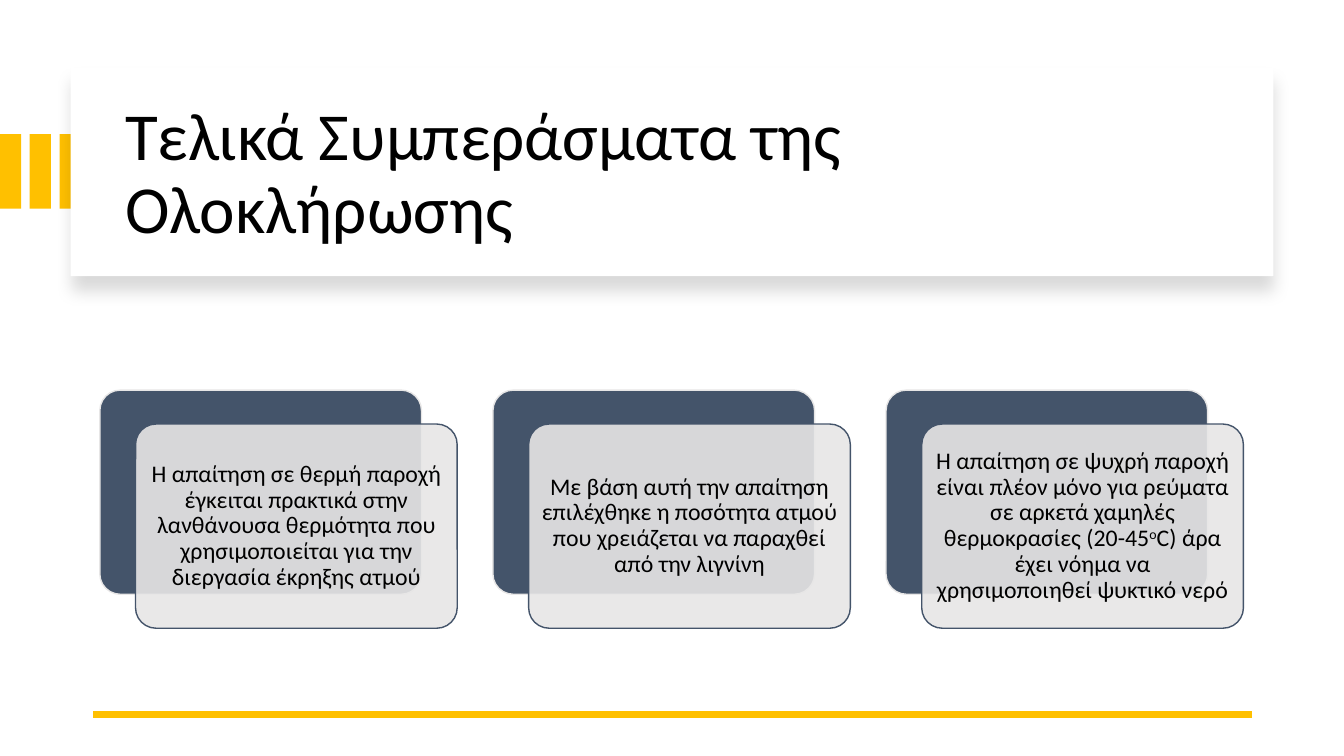
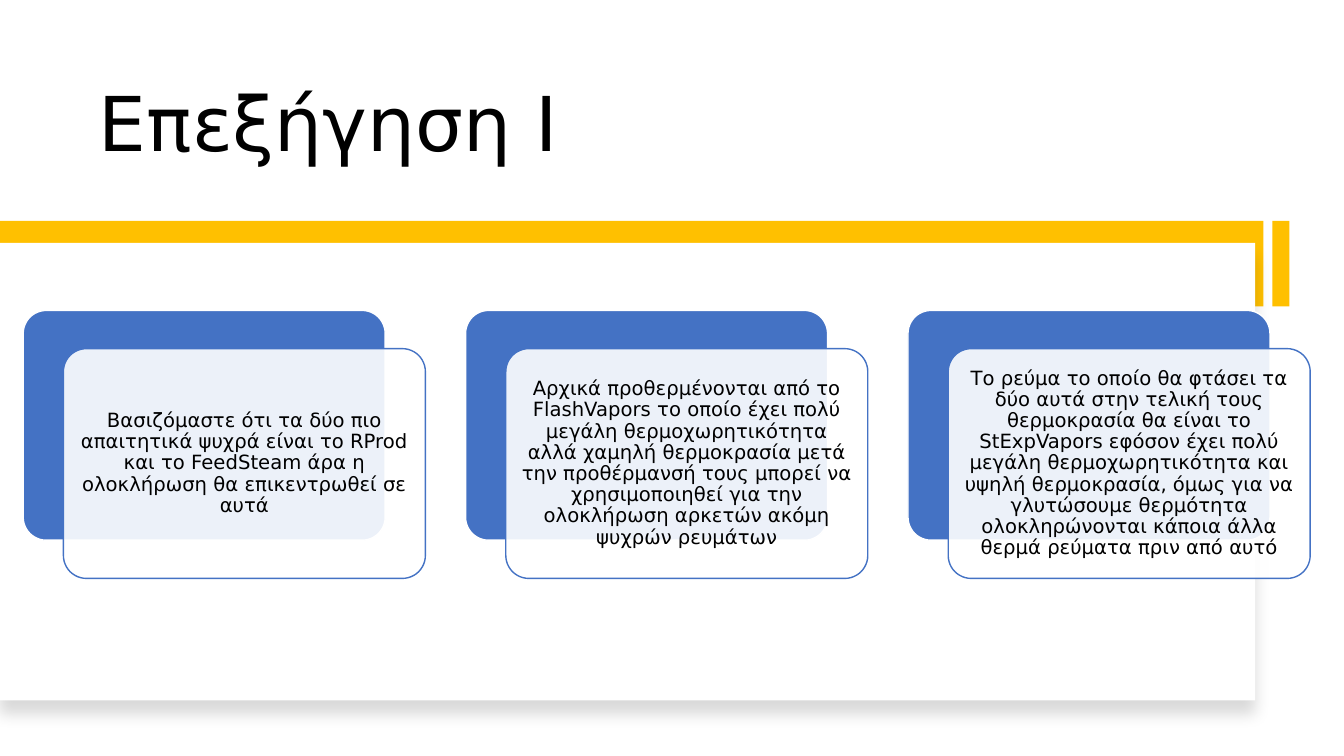
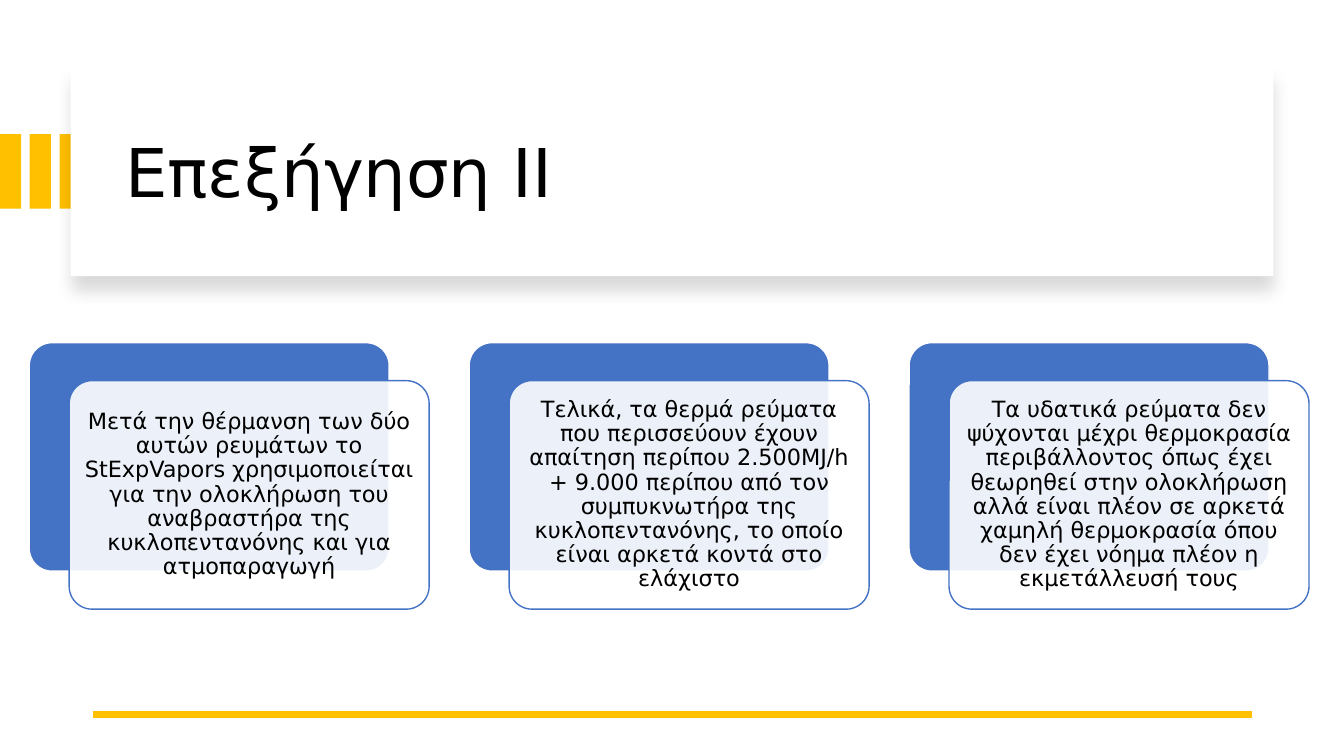
"""Build three Greek slides on heat integration, each with a title and three layered cards."""
from lxml import etree
from pptx import Presentation
from pptx.dml.color import RGBColor
from pptx.enum.shapes import MSO_CONNECTOR, MSO_SHAPE
from pptx.enum.text import MSO_ANCHOR, MSO_AUTO_SIZE, PP_ALIGN
from pptx.oxml.ns import qn
from pptx.util import Inches, Pt

RECT, ROUND = MSO_SHAPE.RECTANGLE, MSO_SHAPE.ROUNDED_RECTANGLE
STRAIGHT = MSO_CONNECTOR.STRAIGHT
MIDDLE, BOTTOM = MSO_ANCHOR.MIDDLE, MSO_ANCHOR.BOTTOM
LEFT, CENTER = PP_ALIGN.LEFT, PP_ALIGN.CENTER
NO_FIT = MSO_AUTO_SIZE.NONE

COLORS = {"gold": "FFC000", "white": "FFFFFF", "black": "000000",
          "slate": "44546A", "grey": "E7E6E6", "blue": "4472C4"}

SLIDES = [
    {"title": "Τελικά Συμπεράσματα της Ολοκλήρωσης", "frame": "stripes",
     "font": "Calibri", "size": 17, "inset": 0.07, "dark": "slate", "light": "grey",
     "left": 0.99, "top": 3.87, "width": 3.19,
     "cards": [
         ["Η απαίτηση σε θερμή παροχή έγκειται πρακτικά στην λανθάνουσα θερμότητα "
          "που χρησιμοποιείται για την διεργασία έκρηξης ατμού"],
         ["Με βάση αυτή την απαίτηση επιλέχθηκε η ποσότητα ατμού που χρειάζεται "
          "να παραχθεί από την λιγνίνη"],
         ["Η απαίτηση σε ψυχρή παροχή είναι πλέον μόνο για ρεύματα σε αρκετά "
          "χαμηλές θερμοκρασίες (20-45", "o",
          "C) άρα έχει νόημα να χρησιμοποιηθεί ψυκτικό νερό"]]},
    {"title": "Επεξήγηση Ι", "frame": "band",
     "font": "DejaVu Sans", "size": 14, "inset": 0.06, "dark": "blue", "light": "white",
     "left": 0.23, "top": 3.08, "width": 3.59,
     "cards": [
         ["Βασιζόμαστε ότι τα δύο πιο απαιτητικά ψυχρά είναι το RProd και το "
          "FeedSteam άρα η ολοκλήρωση θα επικεντρωθεί σε αυτά"],
         ["Αρχικά προθερμένονται από το FlashVapors το οποίο έχει πολύ μεγάλη "
          "θερμοχωρητικότητα αλλά χαμηλή θερμοκρασία μετά την προθέρμανσή τους "
          "μπορεί να χρησιμοποιηθεί για την ολοκλήρωση αρκετών ακόμη ψυχρών ρευμάτων"],
         ["Το ρεύμα το οποίο θα φτάσει τα δύο αυτά στην τελική τους θερμοκρασία θα "
          "είναι το StExpVapors εφόσον έχει πολύ μεγάλη θερμοχωρητικότητα και υψηλή "
          "θερμοκρασία, όμως για να γλυτώσουμε θερμότητα ολοκληρώνονται κάποια άλλα "
          "θερμά ρεύματα πριν από αυτό"]]},
    {"title": "Επεξήγηση ΙΙ", "frame": "stripes",
     "font": "DejaVu Sans", "size": 16, "inset": 0.07, "dark": "blue", "light": "white",
     "left": 0.29, "top": 3.4, "width": 3.57,
     "cards": [
         ["Μετά την θέρμανση των δύο αυτών ρευμάτων το StExpVapors χρησιμοποιείται "
          "για την ολοκλήρωση του αναβραστήρα της κυκλοπεντανόνης και για "
          "ατμοπαραγωγή"],
         ["Τελικά, τα θερμά ρεύματα που περισσεύουν έχουν απαίτηση περίπου 2.500MJ/h "
          "+ 9.000 περίπου από τον συμπυκνωτήρα της κυκλοπεντανόνης, το οποίο είναι "
          "αρκετά κοντά στο ελάχιστο"],
         ["Τα υδατικά ρεύματα δεν ψύχονται μέχρι θερμοκρασία περιβάλλοντος όπως έχει "
          "θεωρηθεί στην ολοκλήρωση αλλά είναι πλέον σε αρκετά χαμηλή θερμοκρασία "
          "όπου δεν έχει νόημα πλέον η εκμετάλλευσή τους"]]},
]

FRAMES = {
    "stripes": {"bars": [(0.295 * i, 1.33, 0.21, 0.74) for i in range(3)],
                "panel": (0.7, 0.67, 11.93, 2.07), "rule": True,
                "title": (1.14, 0.89, 11.13, 1.7), "anchor": MIDDLE, "size": 48},
    "band": {"bars": [(12.62, 2.19, 0.17, 0.85), (0, 2.19, 12.53, 0.85)],
             "panel": (0, 2.41, 12.45, 4.54), "rule": False,
             "title": (0.88, 0.42, 10.1, 1.3), "anchor": BOTTOM, "size": 54},
}


def color(name):
    return RGBColor.from_string(COLORS[name])


def add_box(shapes, kind, box, fill, line=None):
    shape = shapes.add_shape(kind, *map(Inches, box))
    shape.fill.solid()
    shape.fill.fore_color.rgb = color(fill)
    if line:
        shape.line.color.rgb = color(line)
        shape.line.width = Pt(1)
    else:
        shape.line.fill.background()
    shape.shadow.inherit = False
    return shape


def add_alpha(parent, percent):
    etree.SubElement(parent, qn("a:alpha"), val=str(percent * 1000))


def add_shadow(shape):
    effects = shape.element.spPr.find(qn("a:effectLst"))
    shadow = etree.SubElement(effects, qn("a:outerShdw"), blurRad=str(Pt(11)),
                              dist=str(Pt(10)), dir="5400000", algn="t", rotWithShape="0")
    add_alpha(etree.SubElement(shadow, qn("a:srgbClr"), val=COLORS["black"]), 15)


def write(tf, texts, font, size, align, anchor):
    tf.word_wrap = True
    tf.auto_size = NO_FIT
    tf.vertical_anchor = anchor
    p = tf.paragraphs[0]
    p.alignment = align
    p.line_spacing = 0.9
    for i, text in enumerate(texts):
        r = p.add_run()
        r.text = text
        r.font.name = font
        r.font.size = Pt(size)
        r.font.color.rgb = color("black")
        if i % 2:
            r._r.get_or_add_rPr().set("baseline", "30000")


def add_frame(s, data):
    frame = FRAMES[data["frame"]]
    bars = s.shapes.add_group_shape()
    for box in frame["bars"]:
        add_box(bars.shapes, RECT, box, "gold")
    add_shadow(add_box(s.shapes, RECT, frame["panel"], "white"))
    title = s.shapes.title
    title.left, title.top, title.width, title.height = map(Inches, frame["title"])
    write(title.text_frame, [data["title"]], data["font"], frame["size"], LEFT, frame["anchor"])
    s.shapes.element.append(title.element)
    if frame["rule"]:
        rule = s.shapes.add_connector(STRAIGHT, Inches(12.42), Inches(7.09),
                                      Inches(0.92), Inches(7.09))
        rule.line.color.rgb = color("gold")
        rule.line.width = Pt(4.5)
        etree.SubElement(rule.element.spPr, qn("a:effectLst"))


def add_cards(s, data):
    group = s.shapes.add_group_shape()
    width, top, dark, light = (data[k] for k in ("width", "top", "dark", "light"))
    height, shift = 0.635 * width, width / 9
    for i, texts in enumerate(data["cards"]):
        left = data["left"] + i * (width + 2 * shift)
        back = add_box(group.shapes, ROUND, (left, top, width, height), dark, light)
        front = add_box(group.shapes, ROUND,
                        (left + shift, top + 0.95 * shift, width, height), light, dark)
        back.adjustments[0] = front.adjustments[0] = 0.1
        add_alpha(front.element.spPr.find(qn("a:solidFill"))[0], 90)
        tf = front.text_frame
        tf.margin_left = tf.margin_right = Inches(data["inset"])
        tf.margin_top = tf.margin_bottom = Inches(data["inset"])
        write(tf, texts, data["font"], data["size"], CENTER, MIDDLE)


def main():
    prs = Presentation()
    prs.slide_width, prs.slide_height = Inches(13.33), Inches(7.5)
    for data in SLIDES:
        s = prs.slides.add_slide(prs.slide_layouts[5])
        add_frame(s, data)
        add_cards(s, data)
    prs.save("out.pptx")


if __name__ == "__main__":
    main()
